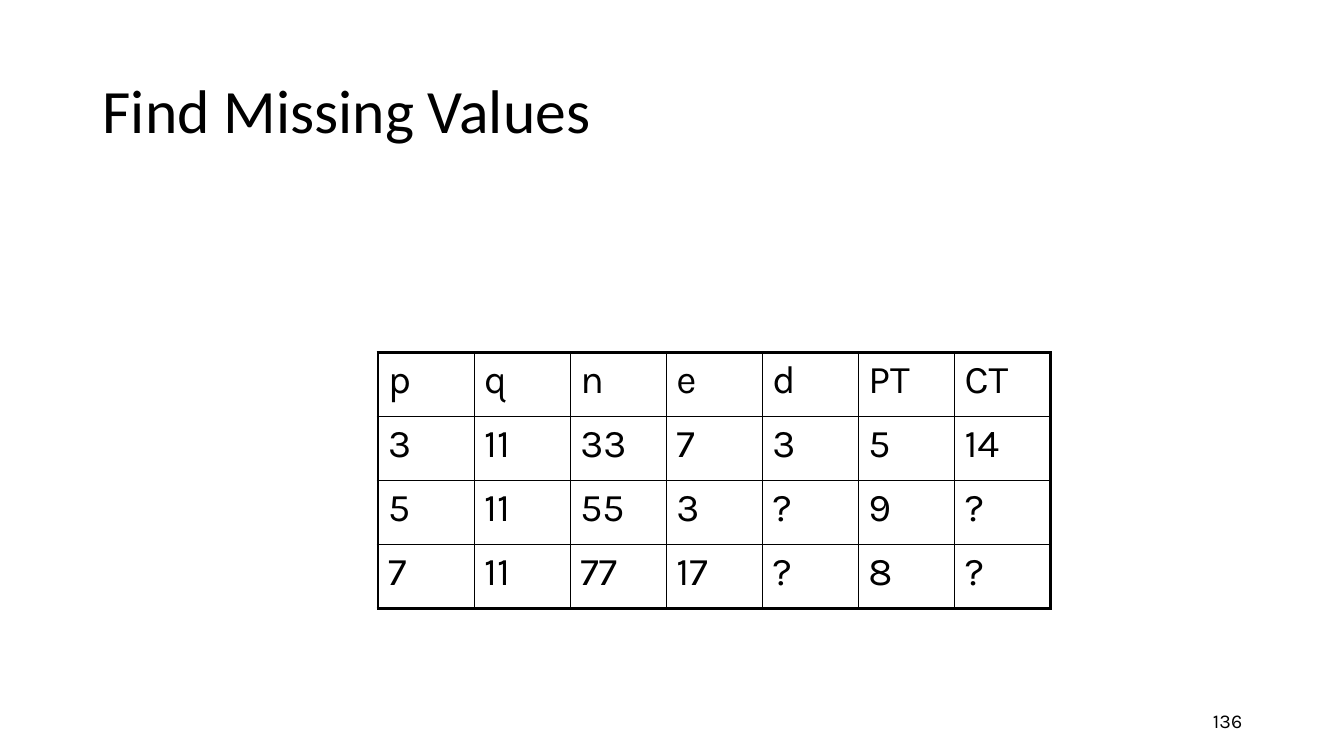
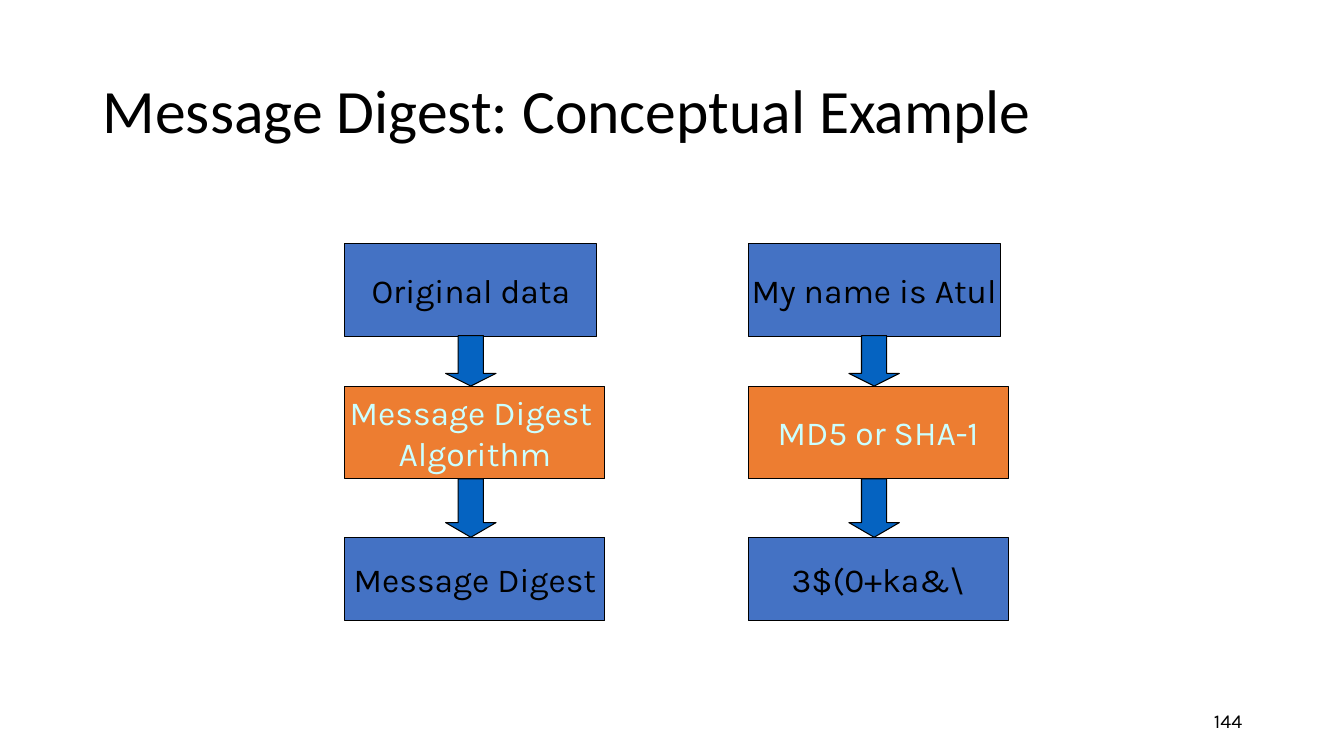
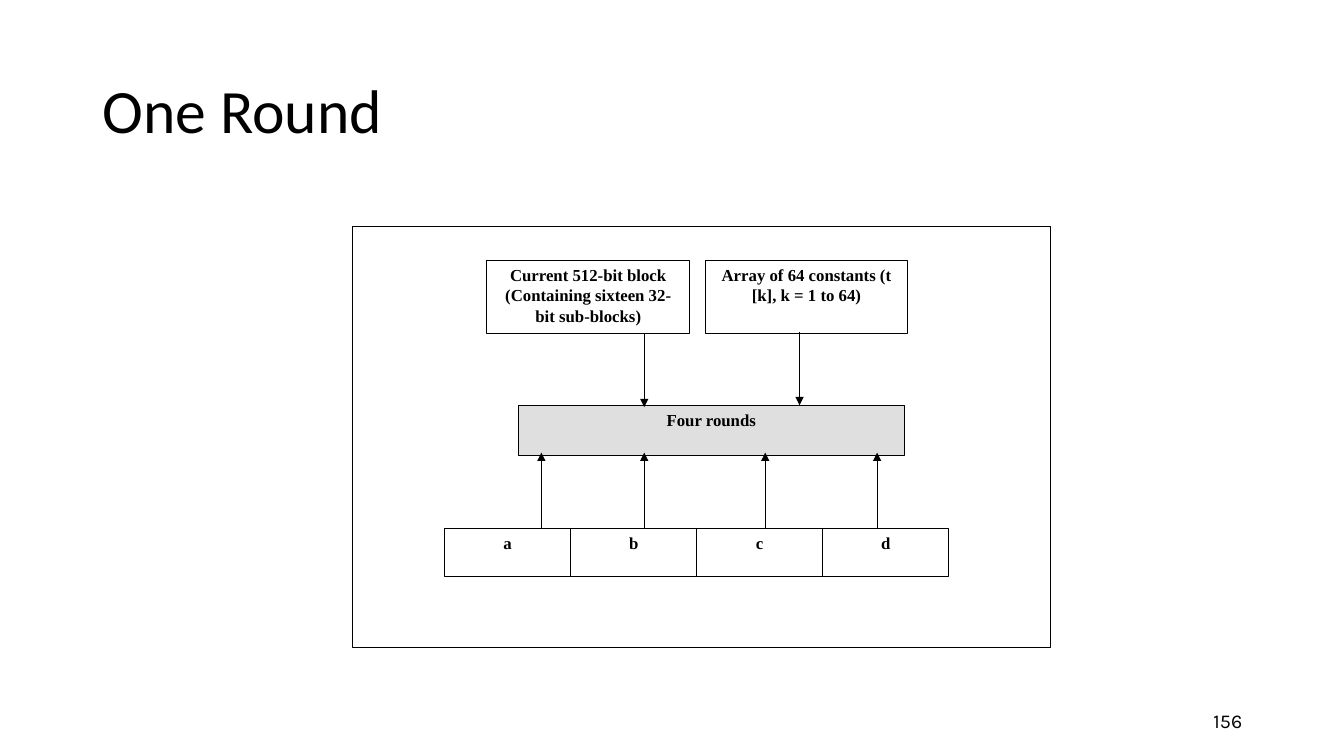
from lxml.etree import SubElement
from pptx import Presentation
from pptx.dml.color import RGBColor
from pptx.enum.shapes import MSO_CONNECTOR, MSO_SHAPE
from pptx.enum.text import MSO_ANCHOR, PP_ALIGN
from pptx.oxml.ns import qn
from pptx.util import Inches, Pt

BLACK = RGBColor(0x00, 0x00, 0x00)
WHITE = RGBColor(0xFF, 0xFF, 0xFF)
BLUE = RGBColor(0x44, 0x72, 0xC4)
ORANGE = RGBColor(0xED, 0x7D, 0x31)
ARROW = RGBColor(0x05, 0x63, 0xC1)
PALE = RGBColor(0xCC, 0xFF, 0xFF)
SILVER = RGBColor(0xC0, 0xC0, 0xC0)
HEAD, BODY, SERIF = "Calibri", "Karla", "Times New Roman"


def write(frame, text, size, font, color=BLACK, align=PP_ALIGN.LEFT, bold=False):
    """Fill a text frame with one paragraph per line of text."""
    for i, line in enumerate(text.split("\n")):
        para = frame.add_paragraph() if i else frame.paragraphs[0]
        para.alignment = align
        run = para.add_run()
        run.text = line
        run.font.size = Pt(size)
        run.font.name = font
        run.font.bold = bold
        run.font.color.rgb = color


def label(slide, box, text, size, font, align=PP_ALIGN.LEFT):
    """Add a wrapped, vertically centred text box."""
    frame = slide.shapes.add_textbox(*map(Inches, box)).text_frame
    frame.word_wrap = True
    frame.vertical_anchor = MSO_ANCHOR.MIDDLE
    write(frame, text, size, font, align=align)
    return frame


def base(deck, title, number):
    """Add a blank slide with its title and page number."""
    slide = deck.slides.add_slide(deck.slide_layouts[6])
    label(slide, (9.42, 6.95, 3, 0.4), number, 14, BODY, PP_ALIGN.RIGHT)
    frame = label(slide, (0.92, 0.4, 11.5, 1.45), title, 44, HEAD)
    frame.paragraphs[0].line_spacing = 0.9
    return slide


def block(slide, box, fill, kind=MSO_SHAPE.RECTANGLE):
    """Add a flat filled shape with a thin black outline."""
    shape = slide.shapes.add_shape(kind, *map(Inches, box))
    shape.shadow.inherit = False
    shape.fill.solid()
    shape.fill.fore_color.rgb = fill
    shape.line.color.rgb = BLACK
    shape.line.width = Pt(0.75)
    return shape


def edge(cell, widths):
    """Draw left, right, top and bottom borders of a cell."""
    props = cell._tc.get_or_add_tcPr()
    for i, (side, width) in enumerate(zip("LRTB", widths)):
        line = SubElement(props, qn("a:ln" + side), w=str(Pt(width)))
        fill = SubElement(line, qn("a:solidFill"))
        SubElement(fill, qn("a:srgbClr"), val=str(BLACK))
        props.insert(i, line)


def grid(slide, box, rows):
    """Add a table with a heavy outer frame and thin inner rules."""
    tall, wide = len(rows), len(rows[0])
    table = slide.shapes.add_table(tall, wide, *map(Inches, box)).table
    table.first_row = table.horz_banding = False
    for r, row in enumerate(rows):
        for c, text in enumerate(row):
            cell = table.cell(r, c)
            cell.fill.background()
            outer = (c == 0, c == wide - 1, r == 0, r == tall - 1)
            edge(cell, [2.25 if side else 1 for side in outer])
            write(cell.text_frame, text, 28, BODY)


def flow(slide, left, top, texts):
    """Stack three blocks joined by down arrows."""
    steps = ((0, 2.5, 0.92, BLUE, BLACK), (1.41, 2.58, 0.92, ORANGE, PALE),
             (2.91, 2.58, 0.83, BLUE, BLACK))
    for text, (drop, width, height, fill, ink) in zip(texts, steps):
        shape = block(slide, (left, top + drop, width, height), fill)
        frame = shape.text_frame
        frame.word_wrap = False
        frame.vertical_anchor = MSO_ANCHOR.MIDDLE
        write(frame, text, 24, BODY, ink, PP_ALIGN.CENTER)
    for drop, height, tip in ((0.91, 0.5, 0.25), (2.33, 0.58, 0.29)):
        arrow = block(slide, (left + 1, top + drop, 0.5, height), ARROW,
                      MSO_SHAPE.DOWN_ARROW)
        arrow.adjustments[0] = 0.5
        arrow.adjustments[1] = tip


def link(slide, x, start, end):
    """Draw a vertical line with an arrowhead at its end."""
    line = slide.shapes.add_connector(
        MSO_CONNECTOR.STRAIGHT, *map(Inches, (x, start, x, end)))
    line.line.color.rgb = BLACK
    line.line.width = Pt(0.75)
    SubElement(line.line._get_or_add_ln(), qn("a:tailEnd"), type="triangle")
    SubElement(line._element.spPr, qn("a:effectLst"))


def diagram(slide, left, top):
    """Draw the framed diagram of one round."""
    block(slide, (left, top, 6.92, 4.17), WHITE)
    parts = [(0.91 + 1.25 * i, 2.99, 1.25, 0.48, name, WHITE)
             for i, name in enumerate("abcd")]
    parts += [
        (1.33, 0.33, 2.01, 0.73,
         "Current 512-bit block (Containing sixteen 32-bit sub-blocks)", WHITE),
        (3.5, 0.33, 2, 0.73, "Array of 64 constants (t [k], k = 1 to 64)", WHITE),
        (1.64, 1.77, 3.83, 0.5, "Four rounds", SILVER)]
    for x, y, width, height, text, fill in parts:
        shape = block(slide, (left + x, top + y, width, height), fill)
        shape.text_frame.word_wrap = True
        shape.text_frame.vertical_anchor = MSO_ANCHOR.TOP
        write(shape.text_frame, text, 12, SERIF, align=PP_ALIGN.CENTER, bold=True)
    tint = shape._element.spPr.find(qn("a:solidFill"))[0]
    SubElement(tint, qn("a:alpha"), val="50000")
    for x, start in ((2.89, 1.06), (4.43, 1.04)):
        link(slide, left + x, top + start, top + start + 0.73)
    for x in (1.87, 2.89, 4.09, 5.2):
        link(slide, left + x, top + 2.99, top + 2.24)


def main():
    """Build and save the three slides."""
    deck = Presentation()
    deck.slide_width, deck.slide_height = Inches(13.33), Inches(7.5)
    slide = base(deck, "Find Missing Values", "136")
    grid(slide, (3.75, 3.5, 6.67, 2.54), (
        ("p", "q", "n", "e", "d", "PT", "CT"),
        ("3", "11", "33", "7", "3", "5", "14"),
        ("5", "11", "55", "3", "?", "9", "?"),
        ("7", "11", "77", "17", "?", "8", "?")))
    slide = base(deck, "Message Digest: Conceptual Example", "144")
    flow(slide, 3.42, 2.42,
         ("Original data", "Message Digest \nAlgorithm", "Message Digest"))
    flow(slide, 7.42, 2.42, ("My name is Atul", "MD5 or SHA-1", "3$(0+ka&\\"))
    slide = base(deck, "One Round", "156")
    diagram(slide, 3.5, 2.25)
    deck.save("out.pptx")


if __name__ == "__main__":
    main()
